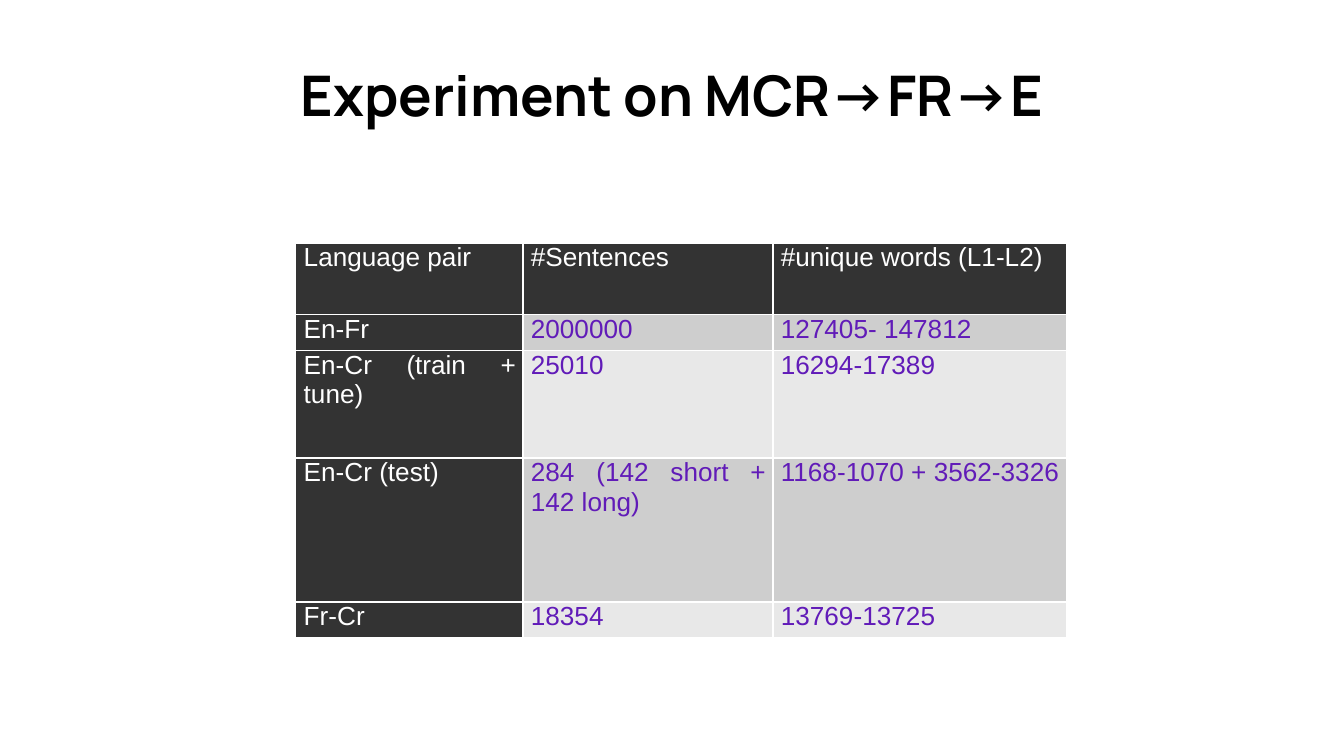
from lxml import etree
from pptx import Presentation
from pptx import util as u
from pptx.dml.color import RGBColor
from pptx.enum import text
from pptx.oxml import ns

WHITE, DARK, PURPLE = "FFFFFF", "333333", "611BB8"
BANDS = ("E8E8E8", "CECECE")
COLUMN_WIDTHS = (1.69, 1.86, 2.19)
ROW_HEIGHTS = (0.53, 0.27, 0.8, 1.07, 0.27)
ROWS = (
    ("Language pair", "#Sentences", "#unique words (L1-L2)"),
    ("En-Fr", "2000000", "127405- 147812"),
    ("En-Cr (train + tune)", "25010", "16294-17389"),
    ("En-Cr (test)", "284 (142 short + 142 long)", "1168-1070 + 3562-3326"),
    ("Fr-Cr", "18354", "13769-13725"),
)


def color(value):
    """Return the colour for a hex string."""
    return RGBColor.from_string(value)


def format_paragraph(paragraph, font_name, size, hex_color, bold, alignment):
    """Set the font and alignment of a paragraph."""
    paragraph.alignment = alignment
    font = paragraph.font
    font.name, font.size, font.bold = font_name, u.Pt(size), bold
    font.color.rgb = color(hex_color)


def add_title(slide, title):
    """Fill and place the title placeholder."""
    shape = slide.shapes.title
    shape.left, shape.top = u.Inches(0.5), u.Inches(0.23)
    shape.width, shape.height = u.Inches(9), u.Inches(0.94)
    frame = shape.text_frame
    frame.text = title
    frame.auto_size = text.MSO_AUTO_SIZE.NONE
    frame.vertical_anchor = text.MSO_ANCHOR.MIDDLE
    format_paragraph(frame.paragraphs[0], "Manrope", 30, "000000", True, text.PP_ALIGN.CENTER)


def add_borders(cell):
    """Draw thin white lines on the four sides of a cell."""
    properties = cell._tc.get_or_add_tcPr()
    for side in "LRTB":
        line = etree.SubElement(properties, ns.qn(f"a:ln{side}"), w=str(u.Pt(1)))
        fill = etree.SubElement(line, ns.qn("a:solidFill"))
        etree.SubElement(fill, ns.qn("a:srgbClr"), val=WHITE)


def fill_cell(cell, content, fill, font_color):
    """Write and format one table cell."""
    cell.text = content
    cell.margin_left, cell.margin_right = u.Inches(0.06), u.Inches(0.05)
    cell.margin_top = cell.margin_bottom = 0
    add_borders(cell)
    cell.fill.solid()
    cell.fill.fore_color.rgb = color(fill)
    format_paragraph(cell.text_frame.paragraphs[0], "Arial", 14, font_color, False,
                     text.PP_ALIGN.JUSTIFY)


def add_corpus_table(slide):
    """Add the table of corpus sizes."""
    table = slide.shapes.add_table(
        len(ROWS), len(COLUMN_WIDTHS), u.Inches(2.2), u.Inches(1.81),
        u.Inches(sum(COLUMN_WIDTHS)), u.Inches(sum(ROW_HEIGHTS))).table
    table.first_col = True
    for column, width in zip(table.columns, COLUMN_WIDTHS):
        column.width = u.Inches(width)
    for row, height in zip(table.rows, ROW_HEIGHTS):
        row.height = u.Inches(height)
    for row_index, contents in enumerate(ROWS):
        for column_index, content in enumerate(contents):
            is_header = row_index == 0 or column_index == 0
            fill_cell(table.cell(row_index, column_index), content,
                      DARK if is_header else BANDS[row_index % 2],
                      WHITE if is_header else PURPLE)


def main():
    """Build the slide and save it."""
    presentation = Presentation()
    presentation.slide_width = u.Inches(10)
    presentation.slide_height = presentation.slide_width * 9 // 16
    slide = presentation.slides.add_slide(presentation.slide_layouts[5])
    add_title(slide, "Experiment on MCR→FR→E")
    add_corpus_table(slide)
    presentation.save("out.pptx")


if __name__ == "__main__":
    main()
